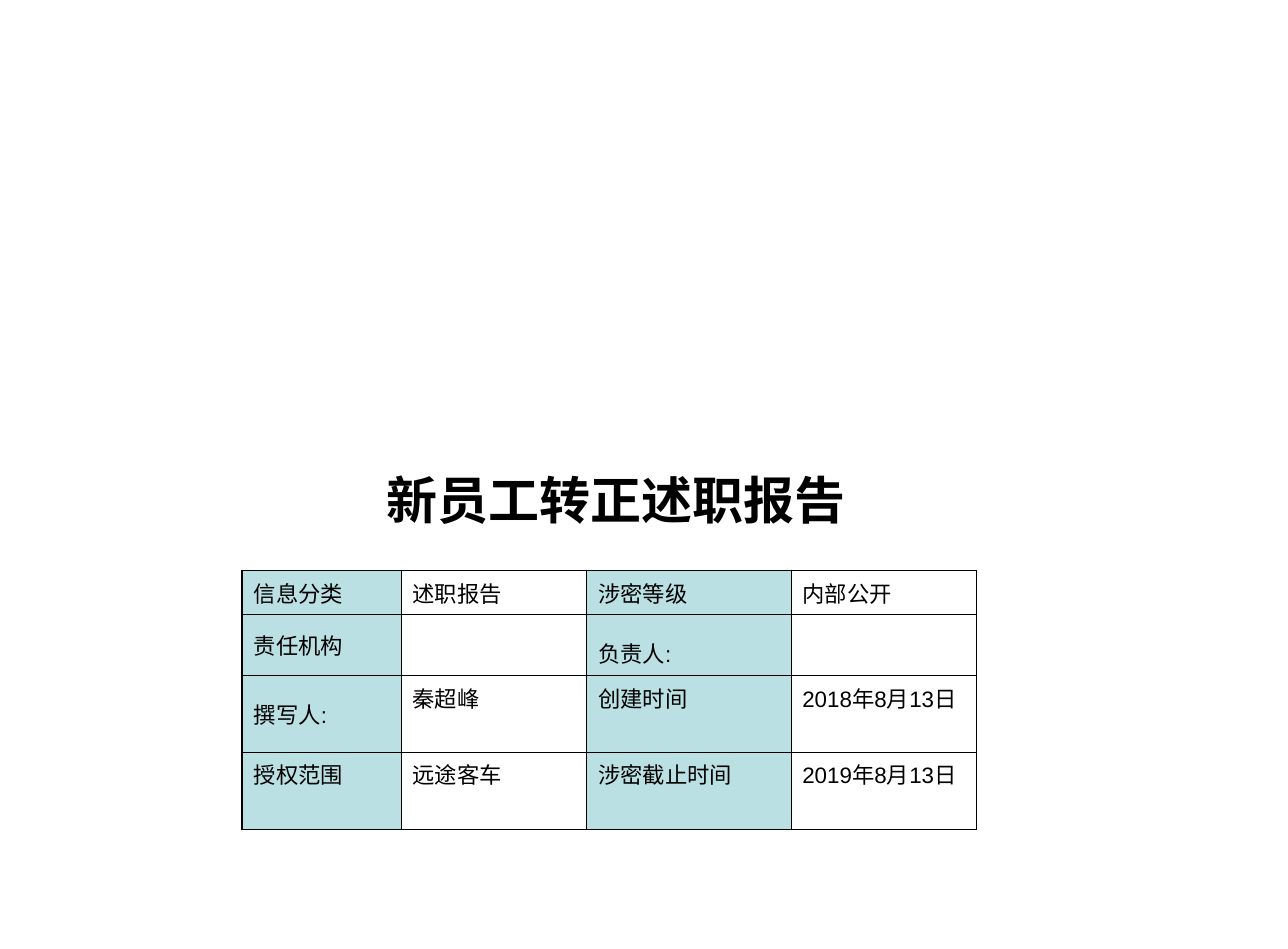
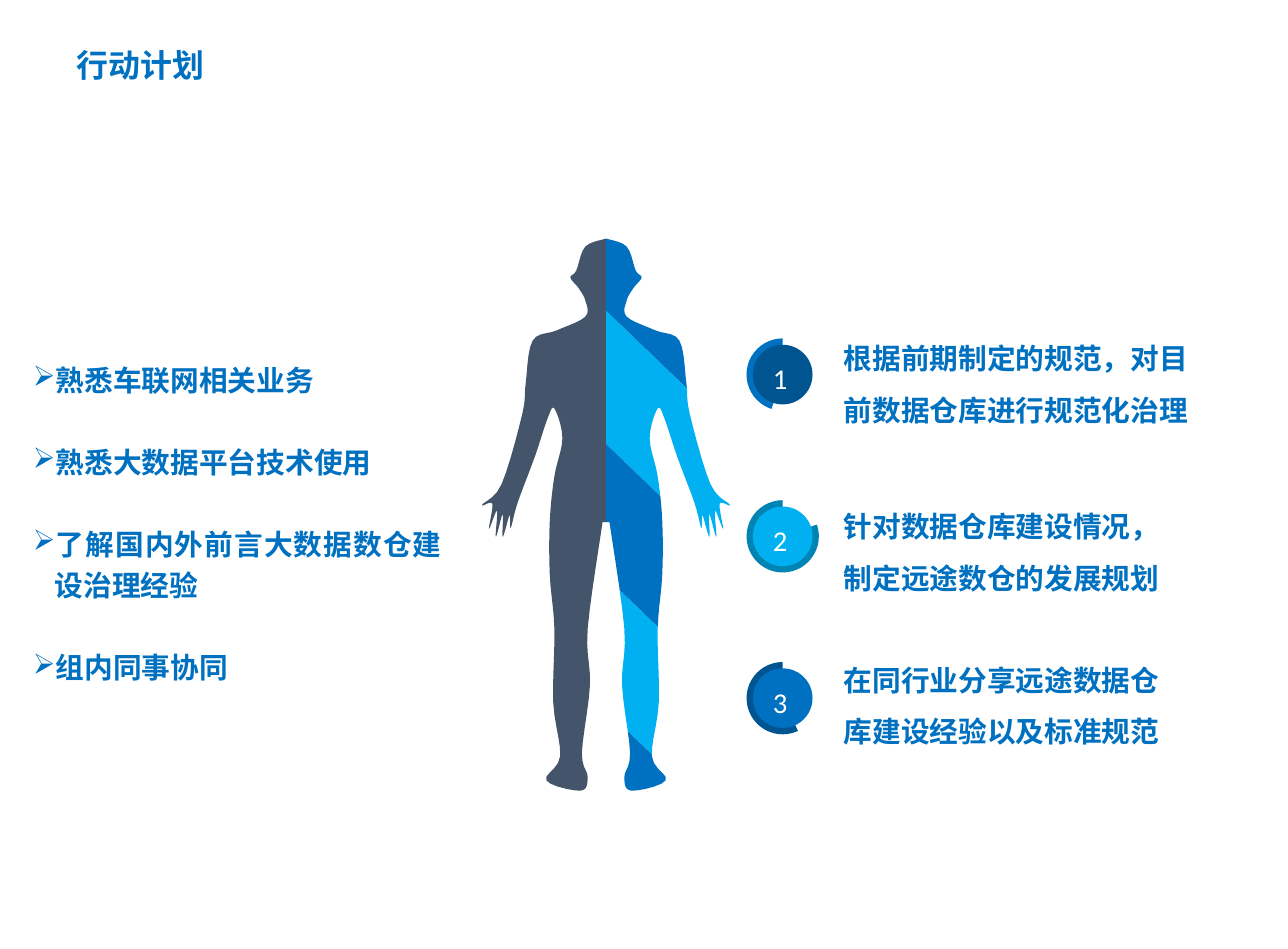
from dataclasses import dataclass
from itertools import pairwise

from lxml import etree
from pptx import Presentation
from pptx.dml.color import RGBColor
from pptx.enum.shapes import MSO_SHAPE
from pptx.enum.text import MSO_ANCHOR, PP_ALIGN
from pptx.oxml.ns import qn
from pptx.util import Cm, Pt

LEFT, CENTER, JUSTIFY = PP_ALIGN.LEFT, PP_ALIGN.CENTER, PP_ALIGN.JUSTIFY
TOP, MIDDLE = MSO_ANCHOR.TOP, MSO_ANCHOR.MIDDLE
PIE, OVAL = MSO_SHAPE.PIE, MSO_SHAPE.OVAL


@dataclass(frozen=True)
class Theme:
    black: str = "000000"
    white: str = "FFFFFF"
    label: str = "BBE0E3"
    blue: str = "0070C0"
    sky: str = "00B0F0"
    teal: str = "0084B4"
    navy: str = "005490"
    slate: str = "44546A"
    cover: int = 32
    title: int = 20
    body: int = 18
    cell: int = 14
    latin: str = "Arial"
    digits: str = "Calibri"
    chinese: str = "Noto Sans CJK SC"
    outer_line: float = 1.08
    inner_line: float = 0.45


THEME = Theme()

INFO_COLUMNS = (3.51, 4.11, 4.52, 4.11)
INFO_HEIGHTS = (0.97, 1.35, 1.7, 1.7)
INFO_ROWS = (
    ("信息分类", "述职报告", "涉密等级", "内部公开"),
    ("责任机构", "", "负责人:", ""),
    ("撰写人:", "秦超峰", "创建时间", "2018年8月13日"),
    ("授权范围", "远途客车", "涉密截止时间", "2019年8月13日"),
)

GOALS = (
    "熟悉车联网相关业务",
    "熟悉大数据平台技术使用",
    "了解国内外前言大数据数仓建设治理经验",
    "组内同事协同",
)

STEPS = (
    (THEME.blue, THEME.navy, 108, 7.09, 7.92, "根据前期制定的规范，对目前数据仓库进行规范化治理"),
    (THEME.teal, THEME.sky, 341, 10.8, 7.21, "针对数据仓库建设情况，制定远途数仓的发展规划"),
    (THEME.navy, THEME.blue, 65, 14.2, 7.21, "在同行业分享远途数据仓库建设经验以及标准规范"),
)

HEAD = ((0, 0), (18, 7), (26, 28), (31, 34), (24, 43), (18, 54), (18, 68))
ARM = ((43, 80), (64, 89), (70, 126), (73, 153), (91, 214), (108, 232))
HAND = ((99, 231), (102, 253), (95, 237), (96, 260), (90, 240), (90, 260),
        (84, 241), (83, 252), (77, 230))
FLANK = ((62, 190), (51, 157), (45, 148), (38, 174), (45, 207), (49, 246))
LEG = ((49, 293), (45, 340), (46, 404), (40, 451), (52, 472), (22, 481),
       (16, 469), (21, 448), (14, 389), (16, 340), (3, 247))
BODY = HEAD + ARM + HAND + FLANK + LEG
BAND_SLOPE = 0.96
FIRST_BAND, BAND_STEP, BAND_COUNT = 63, 116, 5
CURVE_STEPS = 5


def smooth(points):
    padded = (points[0], *points, points[-1])
    curve = [points[0]]
    for a, b, c, d in zip(padded, padded[1:], padded[2:], padded[3:]):
        for step in range(1, CURVE_STEPS + 1):
            t = step / CURVE_STEPS
            curve.append(tuple(
                q + t / 2 * (r - p + t * (2 * p - 5 * q + 4 * r - s
                                          + t * (3 * q - p - 3 * r + s)))
                for p, q, r, s in zip(a, b, c, d)
            ))
    return curve


def clip(points, edge, sign):
    def distance(point):
        return sign * (point[1] - BAND_SLOPE * point[0] - edge)

    kept = []
    for start, end in pairwise(points + points[:1]):
        before, after = distance(start), distance(end)
        if before >= 0:
            kept.append(start)
        if before * after < 0:
            share = before / (before - after)
            kept.append(tuple(a + share * (b - a) for a, b in zip(start, end)))
    return kept


def write(frame, text, size, color=THEME.black, font=THEME.latin, bold=False,
          align=LEFT, spacing=1.0, gap=0, bullet=None, hanging=0.48):
    lines = [text] if isinstance(text, str) else text
    for index, line in enumerate(lines):
        paragraph = frame.add_paragraph() if index else frame.paragraphs[0]
        paragraph.alignment = align
        paragraph.line_spacing = spacing
        if index and gap:
            paragraph.space_before = Pt(gap)
        if bullet:
            properties = paragraph._p.get_or_add_pPr()
            properties.set("marL", str(Cm(hanging)))
            properties.set("indent", str(-Cm(hanging)))
            bullet_color = etree.SubElement(properties, qn("a:buClr"))
            etree.SubElement(bullet_color, qn("a:srgbClr"), val=color)
            etree.SubElement(properties, qn("a:buChar"), char=bullet)
        run = paragraph.add_run()
        run.text = line
        run.font.size = Pt(size)
        run.font.bold = bold
        run.font.color.rgb = RGBColor.from_string(color)
        run.font.name = font
        etree.SubElement(run._r.get_or_add_rPr(), qn("a:ea"), typeface=THEME.chinese)


class Deck:
    def __init__(self, width, height):
        self.presentation = Presentation()
        self.presentation.slide_width = Cm(width)
        self.presentation.slide_height = Cm(height)
        self.slide = None

    def new_slide(self):
        self.slide = self.presentation.slides.add_slide(self.presentation.slide_layouts[6])

    def text(self, box, text, size, inset=(0.25, 0.13), anchor=TOP, **style):
        frame = self.slide.shapes.add_textbox(*map(Cm, box)).text_frame
        frame.word_wrap = True
        frame.vertical_anchor = anchor
        frame.margin_left = frame.margin_right = Cm(inset[0])
        frame.margin_top = frame.margin_bottom = Cm(inset[1])
        write(frame, text, size, **style)

    def paint(self, shape, color):
        shape.shadow.inherit = False
        shape.fill.solid()
        shape.fill.fore_color.rgb = RGBColor.from_string(color)
        shape.line.fill.background()
        return shape

    def round_shape(self, kind, center_x, center_y, diameter, color):
        left, top = center_x - diameter / 2, center_y - diameter / 2
        shape = self.slide.shapes.add_shape(kind, Cm(left), Cm(top), Cm(diameter), Cm(diameter))
        return self.paint(shape, color)

    def badge(self, center_x, center_y, number, ring_color, disc_color, start_angle):
        ring = self.round_shape(PIE, center_x, center_y, 1.6, ring_color)
        ring.adjustments[0] = start_angle * 0.6
        ring.adjustments[1] = 270 * 0.6
        frame = self.round_shape(OVAL, center_x, center_y, 1.32, disc_color).text_frame
        frame.vertical_anchor = MIDDLE
        write(frame, number, THEME.body, color=THEME.white, font=THEME.digits, spacing=1.2)

    def outline(self, points, axis, top, side, color):
        unit = Cm(2.54) / 100
        placed = [(Cm(axis) + round(side * x * unit), Cm(top) + round(y * unit))
                  for x, y in points]
        builder = self.slide.shapes.build_freeform(*placed[0])
        builder.add_line_segments(placed[1:])
        self.paint(builder.convert_to_shape(), color)

    def human_figure(self, axis, top):
        half = smooth(BODY) + [(0, BODY[-1][1])]
        self.outline(half, axis, top, -1, THEME.slate)
        for index in range(BAND_COUNT):
            band = half
            lower = FIRST_BAND + index * BAND_STEP
            if index:
                band = clip(band, lower - BAND_STEP, 1)
            if index < BAND_COUNT - 1:
                band = clip(band, lower, -1)
            self.outline(band, axis, top, 1, (THEME.blue, THEME.sky)[index % 2])

    def cell_borders(self, cell, widths):
        properties = cell._tc.get_or_add_tcPr()
        for position, (side, width) in enumerate(widths.items()):
            line = etree.Element(qn(f"a:ln{side}"), w=str(Pt(width)))
            fill = etree.SubElement(line, qn("a:solidFill"))
            etree.SubElement(fill, qn("a:srgbClr"), val=THEME.black)
            properties.insert(position, line)

    def info_table(self, left, top):
        table = self.slide.shapes.add_table(
            len(INFO_ROWS), len(INFO_COLUMNS), Cm(left), Cm(top),
            Cm(sum(INFO_COLUMNS)), Cm(sum(INFO_HEIGHTS))).table
        table.first_row = table.horz_banding = False
        for column, width in zip(table.columns, INFO_COLUMNS):
            column.width = Cm(width)
        for row, height in zip(table.rows, INFO_HEIGHTS):
            row.height = Cm(height)
        last_column = len(INFO_COLUMNS) - 1
        outer, inner = THEME.outer_line, THEME.inner_line
        for row_index, texts in enumerate(INFO_ROWS):
            for column_index, text in enumerate(texts):
                cell = table.cell(row_index, column_index)
                cell.fill.solid()
                color = THEME.white if column_index % 2 else THEME.label
                cell.fill.fore_color.rgb = RGBColor.from_string(color)
                self.cell_borders(cell, {
                    "L": inner if column_index else outer,
                    "R": outer if column_index == last_column else inner,
                    "T": inner if row_index else outer,
                    "B": inner,
                })
                if text == "责任机构":
                    cell.vertical_anchor = MIDDLE
                if text:
                    person = text.endswith(":")
                    write(cell.text_frame, text, THEME.cell,
                          align=JUSTIFY if person else LEFT, spacing=1.5 if person else 1.0)


def main():
    deck = Deck(28.5, 21)

    deck.new_slide()
    deck.info_table(5.36, 12.62)
    deck.text((6.55, 10.24, 14.17, 1.63), "新员工转正述职报告", THEME.cover,
              bold=True, align=CENTER)

    deck.new_slide()
    deck.text((1.42, 0.84, 20.88, 1.19), "行动计划", THEME.title, inset=(0.28, 0.15),
              anchor=MIDDLE, color=THEME.blue, bold=True)
    strong = {"color": THEME.blue, "font": THEME.chinese, "bold": True}
    deck.text((0.48, 7.75, 9.55, 7.57), GOALS, THEME.body, align=JUSTIFY,
              spacing=1.2, gap=25.5, bullet="➢", **strong)
    deck.human_figure(13.41, 5.28)
    for index, (ring, disc, angle, top, width, text) in enumerate(STEPS):
        deck.badge(17.32, 8.29 + index * 3.58, str(index + 1), ring, disc, angle)
        deck.text((18.59, top, width, 2.44), text, THEME.body, inset=(0.08, 0.08),
                  anchor=MIDDLE, spacing=1.5, **strong)

    deck.presentation.save("out.pptx")


if __name__ == "__main__":
    main()
